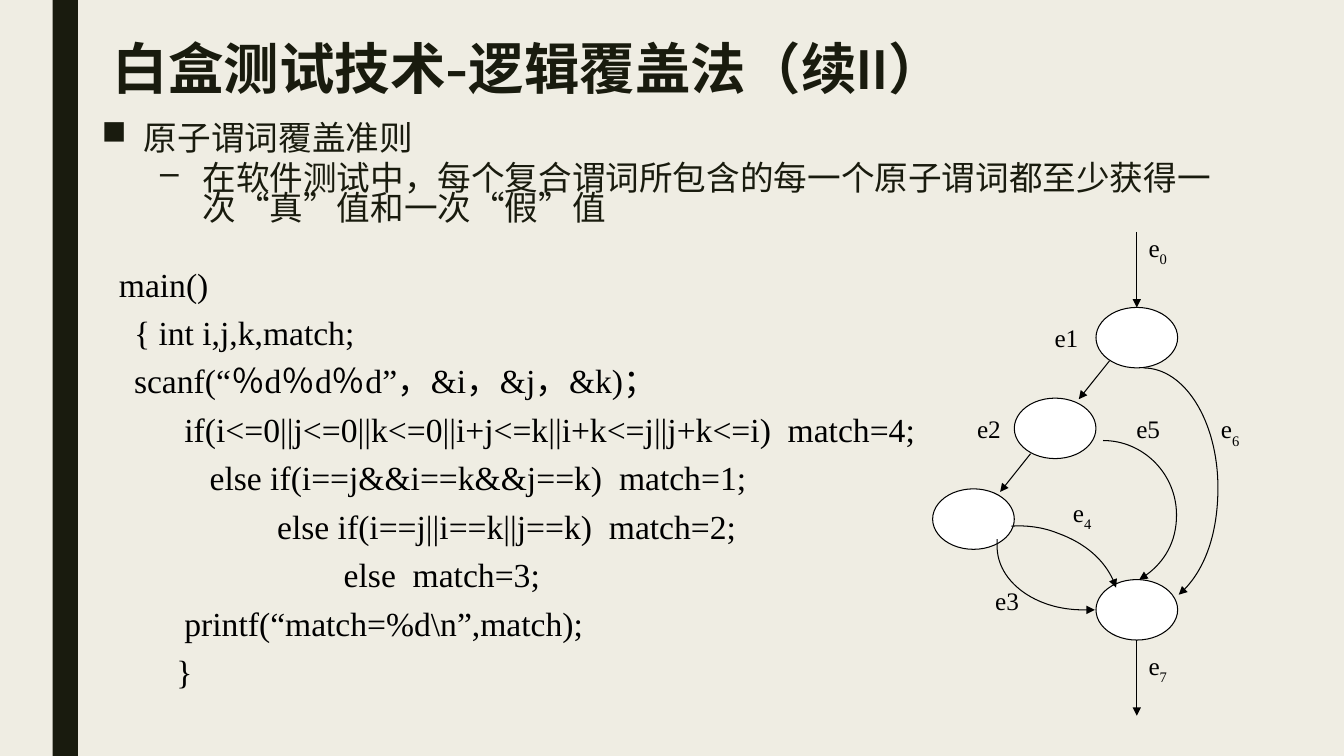
from dataclasses import dataclass

from pptx import Presentation
from pptx.dml.color import RGBColor
from pptx.enum.shapes import MSO_CONNECTOR, MSO_SHAPE
from pptx.enum.text import MSO_ANCHOR
from pptx.oxml.ns import qn
from pptx.oxml.xmlchemy import OxmlElement
from pptx.util import Inches, Pt


@dataclass(frozen=True)
class Theme:
    paper: str = "EFEDE3"
    dark: str = "191B0E"
    ink: str = "000000"
    node: str = "FFFFFF"
    heading_font: str = "Cabin"
    code_font: str = "Times New Roman"
    title_size: float = 39.6
    text_size: float = 24
    label_size: float = 18
    stroke: float = 0.75
    code_pitch: float = 34.6


class Canvas:
    """Draws on a slide; every length is in grid columns and rows."""
    COL, ROW = 0.27, 0.15

    def __init__(self, slide, theme, left=0, top=0):
        self.slide, self.theme = slide, theme
        self.left, self.top = left, top

    def point(self, col, row):
        return Inches(self.left + col * self.COL), Inches(self.top + row * self.ROW)

    def size(self, cols, rows):
        return Inches(cols * self.COL), Inches(rows * self.ROW)

    def shape(self, kind, place, extent, fill, outlined=False):
        form = self.slide.shapes.add_shape(kind, *self.point(*place), *self.size(*extent))
        form.shadow.inherit = False
        form.fill.solid()
        form.fill.fore_color.rgb = RGBColor.from_string(fill)
        if outlined:
            self.stroke(form)
        else:
            form.line.fill.background()

    def stroke(self, form, arrow=False):
        form.line.color.rgb = RGBColor.from_string(self.theme.ink)
        form.line.width = Pt(self.theme.stroke)
        if arrow:
            head = OxmlElement("a:tailEnd")
            head.set("type", "triangle")
            form.line._get_or_add_ln().append(head)

    def arrow(self, start, end):
        edge = self.slide.shapes.add_connector(
            MSO_CONNECTOR.STRAIGHT, *self.point(*start), *self.point(*end))
        self.stroke(edge, arrow=True)
        edge._element.spPr.append(OxmlElement("a:effectLst"))

    def curve(self, start, *controls):
        """Cubic curve with an arrowhead; three control points per segment."""
        builder = self.slide.shapes.build_freeform(*self.point(*start))
        builder.add_line_segments([self.point(*c) for c in controls], close=False)
        edge = builder.convert_to_shape()
        edge.shadow.inherit = False
        edge.fill.background()
        self.stroke(edge, arrow=True)
        segments = list(edge._element.iter(qn("a:lnTo")))
        for first in range(0, len(segments), 3):
            trio = segments[first:first + 3]
            bezier = OxmlElement("a:cubicBezTo")
            trio[0].addprevious(bezier)
            for segment in trio:
                bezier.append(segment[0])
                segment.getparent().remove(segment)

    def frame(self, place, extent, anchor=MSO_ANCHOR.TOP, margins=(0.1, 0.05, 0.1, 0.05)):
        frame = self.slide.shapes.add_textbox(
            *self.point(*place), *self.size(*extent)).text_frame
        frame.word_wrap = True
        frame.vertical_anchor = anchor
        (frame.margin_left, frame.margin_top,
         frame.margin_right, frame.margin_bottom) = map(Inches, margins)
        return frame

    def paragraph(self, frame, text, font, size, color, bold=False, spacing=None,
                  before=0, after=0, indent=0, hanging=0, bullet=None):
        line = frame.paragraphs[0]
        if line.runs:
            line = frame.add_paragraph()
        line.add_run().text = text
        line.line_spacing = spacing
        line.space_before, line.space_after = Pt(before), Pt(after)
        properties = line._p.get_or_add_pPr()
        properties.set("marL", str(Inches(indent)))
        properties.set("indent", str(Inches(-hanging)))
        if bullet:
            mark = OxmlElement("a:buChar")
            mark.set("char", bullet)
            properties.append(mark)
        line.font.name, line.font.size, line.font.bold = font, Pt(size), bold
        line.font.color.rgb = RGBColor.from_string(color)
        return line

    def label(self, place, text, subscript=""):
        frame = self.frame(place, (2.85, 4), margins=(0, 0, 0, 0))
        line = self.paragraph(frame, text, self.theme.code_font,
                              self.theme.label_size, self.theme.ink)
        if subscript:
            index = line.add_run()
            index.text = subscript
            index._r.get_or_add_rPr().set("baseline", "-30000")


OUTLINE = [  # text, indent, bullet, space before
    ("原子谓词覆盖准则", 0.42, "■", 0),
    ("在软件测试中，每个复合谓词所包含的每一个原子谓词都至少获得一次“真”值和一次“假”值", 1, "–", 5),
]
CODE = [  # indent, statement
    (0.29, "main()"),
    (0.44, "{ int i,j,k,match;"),
    (0.44, "scanf(“％d％d％d”，&i，&j，&k)；"),
    (0.94, "if(i<=0||j<=0||k<=0||i+j<=k||i+k<=j||j+k<=i)  match=4;"),
    (1.19, "else if(i==j&&i==k&&j==k)  match=1;"),
    (1.86, "else if(i==j||i==k||j==k)  match=2;"),
    (2.52, "else  match=3;"),
    (0.94, "printf(“match=%d\\n”,match);"),
    (0.86, "}"),
]
NODES = [(6, 23), (6, 5), (3, 11), (0, 17)]
STRAIGHT_EDGES = [
    ((7.5, 0), (7.5, 5)),
    ((7.5, 27), (7.5, 32)),
    ((6.5, 8.53), (5.37, 11.07)),
    ((3.6, 14.67), (2.48, 17.2)),
]
CURVED_EDGES = [
    # e6
    [(7.74, 9), (9.26, 9), (10.48, 12.53), (10.48, 16.93),
     (10.48, 19.93), (9.93, 22.67), (9.04, 24)],
    # e5
    [(6.26, 13.8), (7.74, 13.8), (8.96, 16), (8.96, 18.73),
     (8.96, 20.47), (8.44, 22.13), (7.59, 23)],
    # e4
    [(2.89, 19.47), (3.44, 19.4), (4.04, 19.53), (4.59, 19.93),
     (5.63, 20.6), (6.48, 22), (6.74, 23.53)],
    # e3
    [(2.37, 20.33), (2.37, 20.53), (2.37, 20.67), (2.37, 20.8),
     (2.37, 23.13), (3.78, 25), (5.52, 25), (5.67, 25), (5.81, 25), (5.96, 25)],
]
EDGE_LABELS = [
    ((7.93, 0), "e", "0"), ((4.48, 6), "e1"), ((1.63, 12), "e2"),
    ((2.3, 23.4), "e3"), ((5.15, 17.53), "e", "4"), ((7.48, 12), "e5"),
    ((10.59, 12), "e", "6"), ((7.93, 27.67), "e", "7"),
]


def main():
    theme = Theme()
    deck = Presentation()
    deck.slide_width, deck.slide_height = Inches(13.33), Inches(7.5)
    slide = deck.slides.add_slide(deck.slide_layouts[6])
    slide.background.fill.solid()
    slide.background.fill.fore_color.rgb = RGBColor.from_string(theme.paper)

    # Side bar, title and outline
    page = Canvas(slide, theme)
    page.shape(MSO_SHAPE.RECTANGLE, (1.93, 0), (0.93, 50), theme.dark)
    title = page.frame((3.78, 2.67), (38.89, 4.13), MSO_ANCHOR.MIDDLE)
    page.paragraph(title, "白盒测试技术-逻辑覆盖法（续II）", theme.heading_font,
                   theme.title_size, theme.dark, bold=True, spacing=0.89)
    outline = page.frame((3.37, 7.67), (45.15, 36.47), margins=(0.1, 0.1, 0.9, 0.05))
    for text, indent, bullet, before in OUTLINE:
        page.paragraph(outline, text, theme.heading_font, theme.text_size, theme.dark,
                       spacing=0.75, before=before, after=2,
                       indent=indent, hanging=0.42, bullet=bullet)

    # Control flow graph
    graph = Canvas(slide, theme, left=9.25, top=2.3)
    for place in NODES:
        graph.shape(MSO_SHAPE.OVAL, place, (3, 4), theme.node, outlined=True)
    for start, end in STRAIGHT_EDGES:
        graph.arrow(start, end)
    for points in CURVED_EDGES:
        graph.curve(*points)
    for edge_label in EDGE_LABELS:
        graph.label(*edge_label)

    # Program under test
    code = page.frame((2.93, 15.33), (31.26, 30.73), MSO_ANCHOR.BOTTOM, (0.1, 0.05, 0, 0.05))
    for indent, statement in CODE:
        page.paragraph(code, statement, theme.code_font, theme.text_size, theme.ink,
                       spacing=Pt(theme.code_pitch), indent=indent)

    deck.save("out.pptx")


if __name__ == "__main__":
    main()
